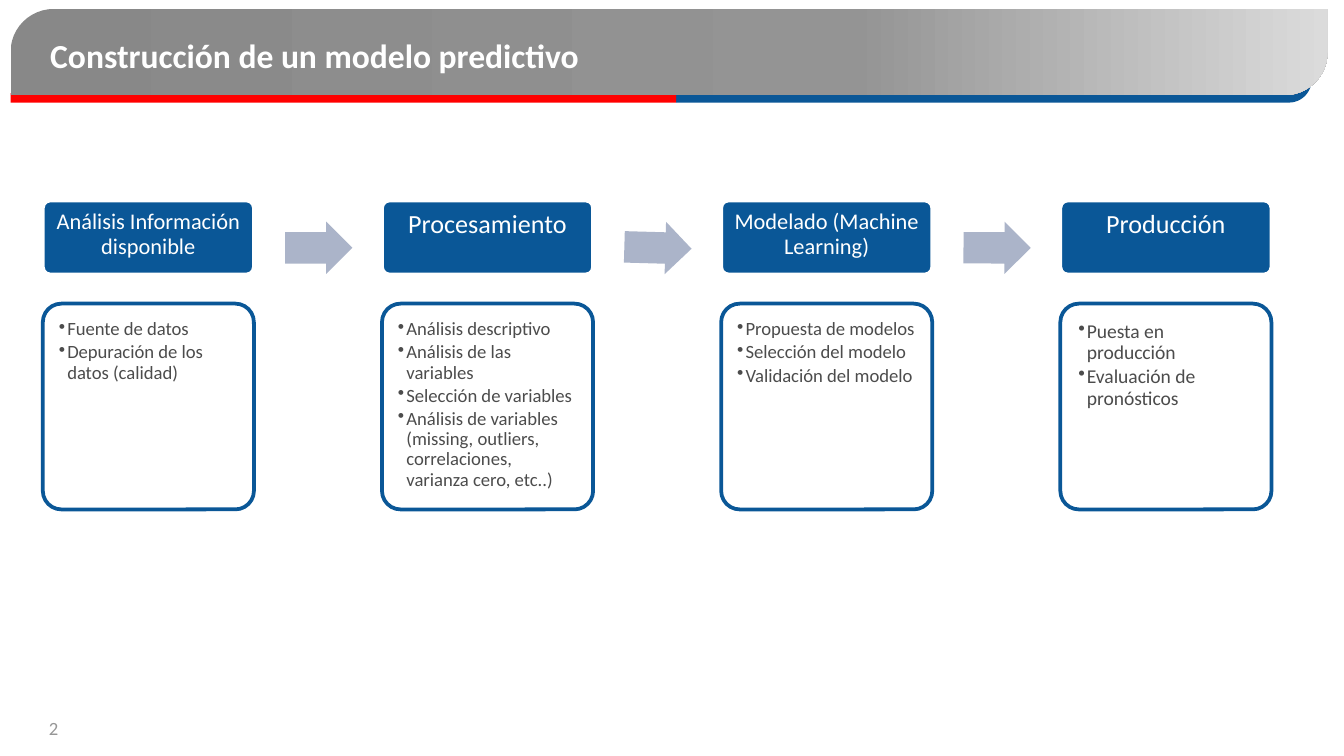
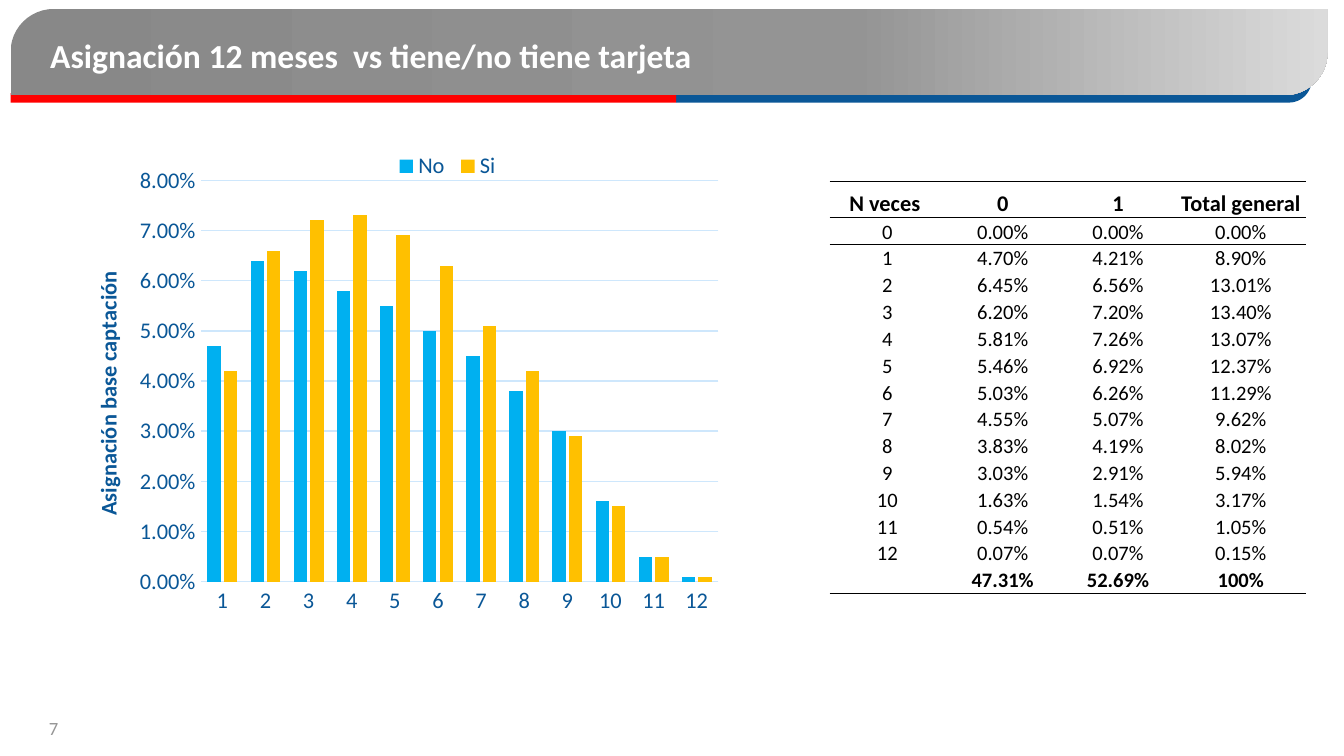
"""Builds two slides on a predictive model: its stages and the yearly assignment."""
from dataclasses import dataclass

import lxml.etree
import copy
import pptx
import pptx.chart.data
import pptx.dml.color
import pptx.enum.chart
import pptx.enum.shapes
import pptx.enum.text
import pptx.oxml.ns
import pptx.shapes.autoshape
import pptx.slide
import pptx.table
import pptx.text.text
import pptx.util

Cm = pptx.util.Cm
Pt = pptx.util.Pt
RGBColor = pptx.dml.color.RGBColor
qn = pptx.oxml.ns.qn
SHAPES = pptx.enum.shapes.MSO_SHAPE
CENTER = pptx.enum.text.PP_ALIGN.CENTER
ANCHOR = pptx.enum.text.MSO_ANCHOR

FONT = "Calibri"
PLAIN_TABLE = "{2D5ABB26-0587-4C30-8999-92F81FD0307C}"
WHITE = RGBColor(0xFF, 0xFF, 0xFF)
BLACK = RGBColor(0, 0, 0)
BLUE = RGBColor(0x0A, 0x57, 0x97)
RED = RGBColor(0xFF, 0, 0)
ARROW_GRAY = RGBColor(0xAB, 0xB4, 0xC9)
TEXT_GRAY = RGBColor(0x4C, 0x4C, 0x4C)
PAGE_GRAY = RGBColor(0x96, 0x96, 0x96)
GRID_BLUE = RGBColor(0xCE, 0xE7, 0xFC)
SKY = RGBColor(0x00, 0xB0, 0xF0)
AMBER = RGBColor(0xFF, 0xC0, 0x00)
BAND_STOPS = (
    (0, RGBColor(0x88, 0x88, 0x88)),
    (0.64, RGBColor(0x94, 0x94, 0x94)),
    (1, RGBColor(0xDB, 0xDB, 0xDB)),
)


@dataclass(frozen=True)
class Area:
    """A rectangle on the slide, in centimetres."""
    left: float
    top: float
    width: float
    height: float

    def lengths(self) -> tuple:
        """Return the four sides as lengths."""
        return Cm(self.left), Cm(self.top), Cm(self.width), Cm(self.height)


@dataclass(frozen=True)
class Stage:
    """One stage of the model with its tasks."""
    name: str
    name_size: float
    tasks: tuple[str, ...]
    task_size: float = 10
    margin: float = 0.2


@dataclass(frozen=True)
class Answer:
    """One column series of the chart."""
    name: str
    color: RGBColor
    shares: tuple[float, ...]


STAGES = (
    Stage("Análisis Información disponible", 12,
          ("Fuente de datos", "Depuración de los datos (calidad)")),
    Stage("Procesamiento", 14,
          ("Análisis descriptivo", "Análisis de las variables", "Selección de variables",
           "Análisis de variables (missing, outliers, correlaciones, varianza cero, etc..)")),
    Stage("Modelado (Machine Learning)", 12,
          ("Propuesta de modelos", "Selección del modelo", "Validación del modelo")),
    Stage("Producción", 14,
          ("Puesta en producción", "Evaluación de pronósticos"), 10.5, 0.24),
)
STAGE_STEP = 6.41
ARROW_TURNS = (0, 1.6, 0.1)

ANSWERS = (
    Answer("No", SKY, (0.047, 0.064, 0.062, 0.058, 0.055, 0.05,
                       0.045, 0.038, 0.03, 0.016, 0.005, 0.001)),
    Answer("Si", AMBER, (0.042, 0.066, 0.072, 0.073, 0.069, 0.063,
                         0.051, 0.042, 0.029, 0.015, 0.005, 0.001)),
)
HEADINGS = ("N veces ", "0", "1", "Total general")
SHARES = (
    (0, 0, 0), (4.70, 4.21, 8.90), (6.45, 6.56, 13.01), (6.20, 7.20, 13.40),
    (5.81, 7.26, 13.07), (5.46, 6.92, 12.37), (5.03, 6.26, 11.29), (4.55, 5.07, 9.62),
    (3.83, 4.19, 8.02), (3.03, 2.91, 5.94), (1.63, 1.54, 3.17), (0.54, 0.51, 1.05),
    (0.07, 0.07, 0.15),
)
TOTALS = ("", "47.31%", "52.69%", "100%")
HEADING_HEIGHT = 0.69


def set_font(font: pptx.text.text.Font, size: float, color: RGBColor, bold: bool = False) -> None:
    """Apply the deck font with a size and colour."""
    font.name = FONT
    font.size = Pt(size)
    font.bold = bold
    font.color.rgb = color


def write(para, text: str, size: float, color: RGBColor, bold: bool = False) -> None:
    """Fill a paragraph and format its runs."""
    para.text = text
    for span in para.runs:
        set_font(span.font, size, color, bold)


def set_margins(frame: pptx.text.text.TextFrame, margin: float) -> None:
    """Give a text frame equal margins on all sides."""
    frame.margin_left = frame.margin_right = Cm(margin)
    frame.margin_top = frame.margin_bottom = Cm(margin)


def add_box(page: pptx.slide.Slide, kind: SHAPES, area: Area, fill: RGBColor,
            line: RGBColor | None = None, adjust: tuple[float, ...] = ()
            ) -> pptx.shapes.autoshape.Shape:
    """Draw a flat preset shape."""
    box = page.shapes.add_shape(kind, *area.lengths())
    box.shadow.inherit = False
    box.fill.solid()
    box.fill.fore_color.rgb = fill
    if line is None:
        box.line.fill.background()
    else:
        box.line.color.rgb = line
        box.line.width = Pt(2)
    for index, value in enumerate(adjust):
        box.adjustments[index] = value
    return box


def add_label(page: pptx.slide.Slide, area: Area) -> pptx.text.text.TextFrame:
    """Add a wrapping text box and return its frame."""
    frame = page.shapes.add_textbox(*area.lengths()).text_frame
    frame.word_wrap = True
    return frame


def add_page(deck, title: str, number: int) -> pptx.slide.Slide:
    """Add a slide with the title band and page number."""
    page = deck.slides.add_slide(deck.slide_layouts[6])
    diagonal = SHAPES.ROUND_2_DIAG_RECTANGLE
    add_box(page, diagonal, Area(12.78, 1.08, 12.01, 0.86), BLUE, adjust=(0.5, 0))
    add_box(page, SHAPES.RECTANGLE, Area(0.2, 1.76, 12.58, 0.18), RED)
    band = add_box(page, diagonal, Area(0.2, 0.17, 24.89, 1.63), WHITE, adjust=(0.5, 0))
    band.fill.gradient()
    band.fill.gradient_angle = 0
    stops = next(band._element.iter(qn("a:gsLst")))
    stops.append(copy.deepcopy(stops[0]))
    for stop, (position, color) in zip(band.fill.gradient_stops, BAND_STOPS):
        stop.position = position
        stop.color.rgb = color

    footer = add_label(page, Area(0, 13.42, 2.03, 0.76))
    write(footer.paragraphs[0], str(number), 10, PAGE_GRAY)
    footer.paragraphs[0].alignment = CENTER
    heading = add_label(page, Area(0.7, 0.15, 23.62, 1.8))
    heading.vertical_anchor = ANCHOR.MIDDLE
    write(heading.paragraphs[0], title, 18, WHITE, True)
    return page


def add_bullet(para) -> None:
    """Give a paragraph a hanging bullet."""
    props = para._p.get_or_add_pPr()
    props.set("marL", str(Cm(0.16)))
    props.set("indent", str(-Cm(0.16)))
    lxml.etree.SubElement(props, qn("a:buChar")).set("char", "•")


def add_stage(page: pptx.slide.Slide, stage: Stage, left: float) -> None:
    """Draw a stage header and its task card."""
    header = add_box(page, SHAPES.ROUNDED_RECTANGLE, Area(left, 3.79, 3.99, 1.4),
                     BLUE, WHITE, (0.1,))
    frame = header.text_frame
    frame.word_wrap = True
    frame.vertical_anchor = ANCHOR.TOP
    set_margins(frame, 0.15)
    para = frame.paragraphs[0]
    write(para, stage.name, stage.name_size, WHITE)
    para.alignment = CENTER
    para.line_spacing = 0.9

    card = add_box(page, SHAPES.ROUNDED_RECTANGLE, Area(left, 5.74, 3.99, 3.89),
                   WHITE, BLUE, (0.09,))
    color = next(card._element.spPr.iter(qn("a:srgbClr")))
    lxml.etree.SubElement(color, qn("a:alpha")).set("val", "90000")
    frame = card.text_frame
    frame.word_wrap = True
    frame.vertical_anchor = ANCHOR.TOP
    set_margins(frame, stage.margin)
    for index, task in enumerate(stage.tasks):
        para = frame.add_paragraph() if index else frame.paragraphs[0]
        write(para, task, stage.task_size, TEXT_GRAY)
        para.alignment = pptx.enum.text.PP_ALIGN.LEFT
        para.line_spacing = 0.9
        para.space_after = Pt(1.6)
        add_bullet(para)


def set_layout(parent, index: int, inner: bool = False, **sides: float) -> None:
    """Place a chart part by fractions of the chart."""
    for old in parent.findall(qn("c:layout")):
        parent.remove(old)
    layout = lxml.etree.Element(qn("c:layout"))
    manual = lxml.etree.SubElement(layout, qn("c:manualLayout"))
    settings = {"layoutTarget": "inner"} if inner else {}
    settings |= {"xMode": "edge", "yMode": "edge", **sides}
    for name, value in settings.items():
        lxml.etree.SubElement(manual, qn(f"c:{name}")).set("val", str(value))
    parent.insert(index, layout)


def add_share_chart(page: pptx.slide.Slide, area: Area) -> None:
    """Draw the clustered columns of monthly shares."""
    data = pptx.chart.data.CategoryChartData(number_format="0.00%")
    data.categories = [str(month) for month in range(1, 13)]
    for answer in ANSWERS:
        data.add_series(answer.name, answer.shares)
    kind = pptx.enum.chart.XL_CHART_TYPE.COLUMN_CLUSTERED
    chart = page.shapes.add_chart(kind, *area.lengths(), data).chart
    set_font(chart.font, 10, TEXT_GRAY)
    chart.has_title = False

    plot = chart.plots[0]
    plot.gap_width = 100
    plot.overlap = -24
    plot.vary_by_categories = False
    for series, answer in zip(plot.series, ANSWERS):
        series.format.fill.solid()
        series.format.fill.fore_color.rgb = answer.color

    months, shares = chart.category_axis, chart.value_axis
    for axis in (months, shares):
        axis.major_tick_mark = axis.minor_tick_mark = pptx.enum.chart.XL_TICK_MARK.NONE
        set_font(axis.tick_labels.font, 12, BLUE)
    shares.minimum_scale, shares.maximum_scale, shares.major_unit = 0, 0.08, 0.01
    shares.tick_labels.number_format = "0.00%"
    shares.tick_labels.number_format_is_linked = False
    shares.format.line.fill.background()
    for line in (months.format.line, shares.major_gridlines.format.line):
        line.color.rgb = GRID_BLUE
        line.width = Pt(0.75)
    title = shares.axis_title
    write(title.text_frame.paragraphs[0], "Asignación base captación", 12, BLUE, True)

    chart.has_legend = True
    chart.legend.position = pptx.enum.chart.XL_LEGEND_POSITION.BOTTOM
    chart.legend.include_in_layout = False
    set_font(chart.legend.font, 12, BLUE)
    set_layout(title._element, 1, x=0.03, y=0.24)
    set_layout(chart.legend._element, 1, x=0.48, y=0, w=0.17, h=0.08)
    set_layout(next(chart._chartSpace.iter(qn("c:plotArea"))), 0, True,
               x=0.197, y=0.068, w=0.772, h=0.795)


def add_border(cell: pptx.table._Cell, tag: str, index: int) -> None:
    """Add a thin black border on one side of a cell."""
    line = lxml.etree.Element(qn(tag), w=str(Pt(0.5)))
    fill = lxml.etree.SubElement(line, qn("a:solidFill"))
    lxml.etree.SubElement(fill, qn("a:srgbClr")).set("val", str(BLACK))
    cell._tc.get_or_add_tcPr().insert(index, line)


def add_share_table(page: pptx.slide.Slide, area: Area) -> None:
    """Draw the table of shares by number of times."""
    body = [(str(times), *(f"{share:.2f}%" for share in row)) for times, row in enumerate(SHARES)]
    rows = [HEADINGS, *body, TOTALS]
    last = len(rows) - 1
    table = page.shapes.add_table(len(rows), len(HEADINGS), *area.lengths()).table
    table._tbl.tblPr.find(qn("a:tableStyleId")).text = PLAIN_TABLE
    table.first_row = table.horz_banding = False
    for column, width in zip(table.columns, (2.18, 2.18, 2.18, 2.46)):
        column.width = Cm(width)
    for number, texts in enumerate(rows):
        height = (area.height - HEADING_HEIGHT) / last if number else HEADING_HEIGHT
        table.rows[number].height = Cm(height)
        for cell, text in zip(table.rows[number].cells, texts):
            cell.fill.background()
            cell.vertical_anchor = ANCHOR.BOTTOM
            cell.margin_left = cell.margin_right = cell.margin_top = Cm(0.02)
            cell.margin_bottom = 0
            para = cell.text_frame.paragraphs[0]
            para.alignment = CENTER
            if text:
                write(para, text, 11 if number else 12, BLACK, number in (0, last))
            else:
                para._p.get_or_add_endParaRPr().set("sz", "1100")
            if number in (0, 1):
                add_border(cell, "a:lnT", 0)
            if number in (0, last):
                add_border(cell, "a:lnB", 0 if number else 1)


def main() -> None:
    """Build and save the deck."""
    deck = pptx.Presentation()
    deck.slide_width, deck.slide_height = Cm(25.4), Cm(14.29)
    page = add_page(deck, "Construcción de un modelo predictivo", 2)
    for index, stage in enumerate(STAGES):
        add_stage(page, stage, 0.81 + index * STAGE_STEP)
    for index, turn in enumerate(ARROW_TURNS):
        arrow = add_box(page, SHAPES.RIGHT_ARROW, Area(5.39 + index * STAGE_STEP, 4.19, 1.27, 0.99),
                        ARROW_GRAY, adjust=(0.6, 0.5))
        arrow.rotation = turn
    page = add_page(deck, "Asignación 12 meses  vs tiene/no tiene tarjeta", 7)
    add_share_table(page, Area(15.68, 3.43, 9, 7.8))
    add_share_chart(page, Area(1.3, 2.76, 12.67, 9.55))
    deck.save("out.pptx")


if __name__ == "__main__":
    main()
